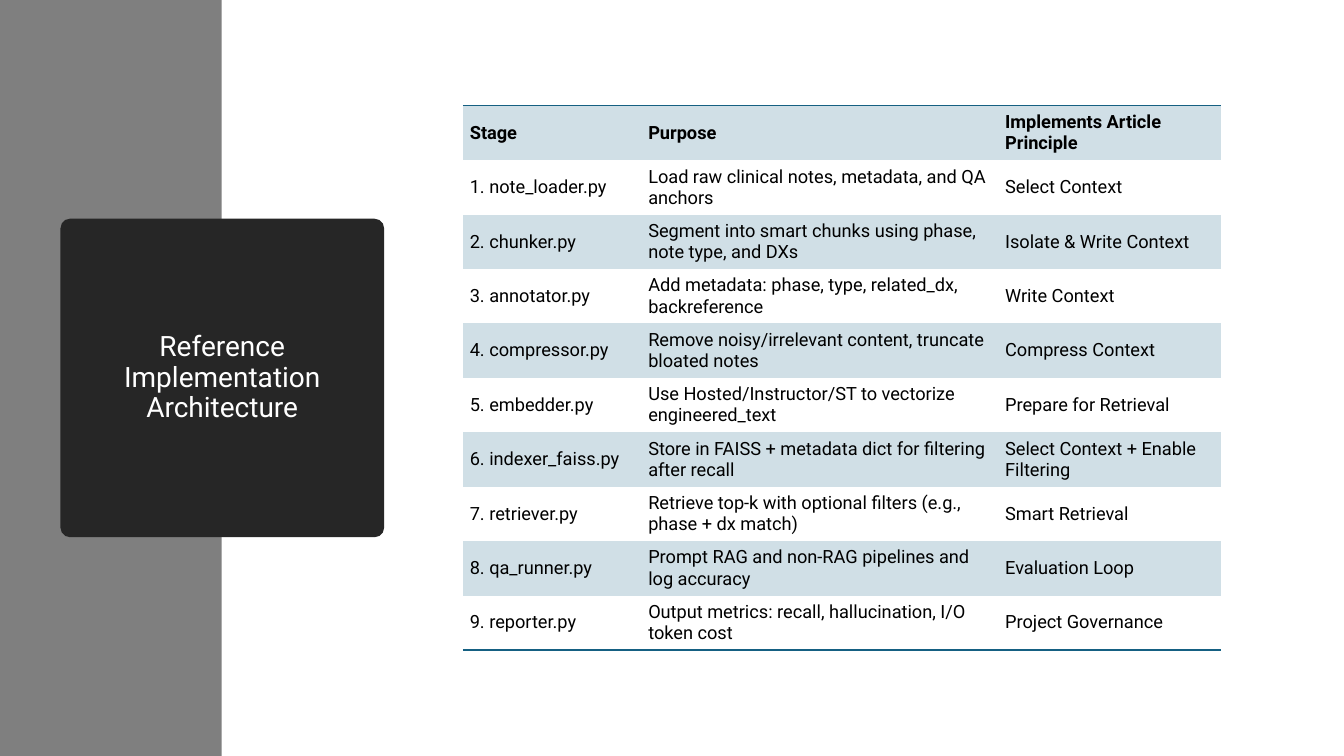
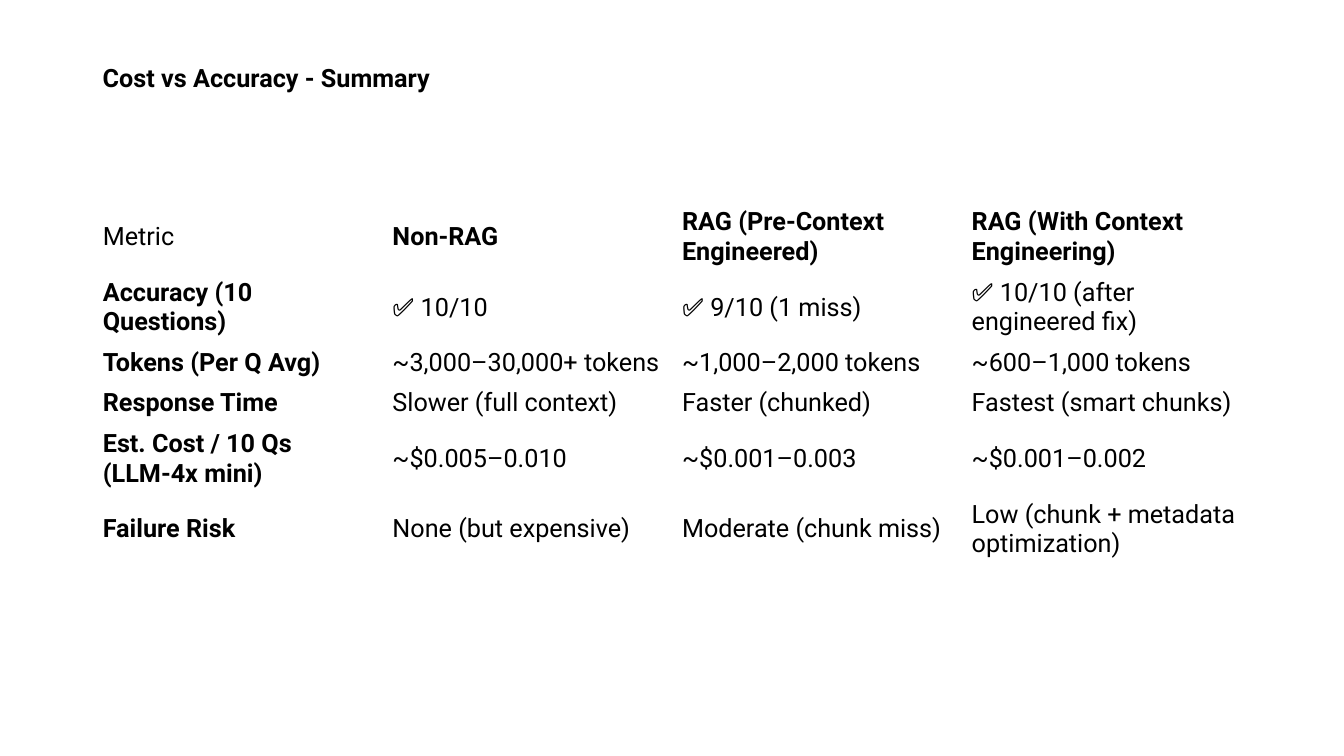
from lxml import etree
from pptx import Presentation
from pptx.dml.color import RGBColor
from pptx.enum.shapes import MSO_SHAPE
from pptx.enum.text import MSO_ANCHOR, PP_ALIGN
from pptx.oxml.ns import qn
from pptx.util import Inches, Pt

RECTANGLE = MSO_SHAPE.RECTANGLE
ROUNDED = MSO_SHAPE.ROUNDED_RECTANGLE
MIDDLE = MSO_ANCHOR.MIDDLE
LEFT, CENTER = PP_ALIGN.LEFT, PP_ALIGN.CENTER

# Shared look
WIDTH, HEIGHT = 13.33, 7.5
FONT = "Roboto"
COLORS = {
    "text": "000000",
    "light": "FFFFFF",
    "side_band": "7F7F7F",
    "title_card": "262626",
    "rule": "156082",
    "stripe": "D0DFE6",
}
NO_GRID_STYLE = "{2D5ABB26-0587-4C30-8999-92F81FD0307C}"
MARGIN = 0.92

STAGES = [
    ("Stage", "Purpose", "Implements Article Principle"),
    ("1. note_loader.py", "Load raw clinical notes, metadata, and QA anchors",
     "Select Context"),
    ("2. chunker.py", "Segment into smart chunks using phase, note type, and DXs",
     "Isolate & Write Context"),
    ("3. annotator.py", "Add metadata: phase, type, related_dx, backreference",
     "Write Context"),
    ("4. compressor.py", "Remove noisy/irrelevant content, truncate bloated notes",
     "Compress Context"),
    ("5. embedder.py", "Use Hosted/Instructor/ST to vectorize engineered_text",
     "Prepare for Retrieval"),
    ("6. indexer_faiss.py", "Store in FAISS + metadata dict for filtering after recall",
     "Select Context + Enable Filtering"),
    ("7. retriever.py", "Retrieve top‑k with optional filters (e.g., phase + dx match)",
     "Smart Retrieval"),
    ("8. qa_runner.py", "Prompt RAG and non‑RAG pipelines and log accuracy",
     "Evaluation Loop"),
    ("9. reporter.py", "Output metrics: recall, hallucination, I/O token cost",
     "Project Governance"),
]

METRICS = [
    ("Metric", "Non-RAG", "RAG (Pre-Context Engineered)",
     "RAG (With Context Engineering)"),
    ("Accuracy (10 Questions)", "✅ 10/10", "✅ 9/10 (1 miss)",
     "✅ 10/10 (after engineered fix)"),
    ("Tokens (Per Q Avg)", "~3,000–30,000+ tokens", "~1,000–2,000 tokens",
     "~600–1,000 tokens"),
    ("Response Time", "Slower (full context)", "Faster (chunked)",
     "Fastest (smart chunks)"),
    ("Est. Cost / 10 Qs (LLM-4x mini)", "~$0.005–0.010", "~$0.001–0.003",
     "~$0.001–0.002"),
    ("Failure Risk", "None (but expensive)", "Moderate (chunk miss)",
     "Low (chunk + metadata optimization)"),
]


def rgb(name):
    return RGBColor.from_string(COLORS[name])


def add_slide(presentation):
    return presentation.slides.add_slide(presentation.slide_layouts[6])


def write(text_frame, text, size, color="text", bold=False, align=LEFT, spacing=None):
    text_frame.word_wrap = True
    paragraph = text_frame.paragraphs[0]
    paragraph.text = text
    paragraph.alignment = align
    paragraph.line_spacing = spacing
    paragraph.font.name = FONT
    paragraph.font.size = Pt(size)
    paragraph.font.bold = bold
    paragraph.font.color.rgb = rgb(color)


def add_block(slide, kind, box, color):
    shape = slide.shapes.add_shape(kind, *map(Inches, box))
    shape.shadow.inherit = False
    shape.fill.solid()
    shape.fill.fore_color.rgb = rgb(color)
    shape.line.fill.background()
    return shape


def write_title(shape, text, size, **style):
    shape.text_frame.vertical_anchor = MIDDLE
    write(shape.text_frame, text, size, spacing=0.9, **style)


def add_rule(cell, side):
    """Draw a 1 pt border on the top ("lnT") or bottom ("lnB") of a cell."""
    line = etree.Element(qn("a:" + side), w=str(Pt(1)))
    fill = etree.SubElement(line, qn("a:solidFill"))
    etree.SubElement(fill, qn("a:srgbClr"), val=COLORS["rule"])
    cell._tc.get_or_add_tcPr().insert(0, line)


def add_table(slide, rows, left, top, columns, heights, size, is_bold, insets=(0.1, 0.05)):
    frame = slide.shapes.add_table(
        len(rows), len(columns),
        *map(Inches, (left, top, sum(columns), sum(heights))))
    table = frame.table
    table.first_row = table.horz_banding = False
    table._tbl.tblPr.find(qn("a:tableStyleId")).text = NO_GRID_STYLE
    for column, width in zip(table.columns, columns):
        column.width = Inches(width)
    for row, height in zip(table.rows, heights):
        row.height = Inches(height)
    side_inset, end_inset = map(Inches, insets)
    for r, texts in enumerate(rows):
        for c, text in enumerate(texts):
            cell = table.cell(r, c)
            cell.vertical_anchor = MIDDLE
            cell.margin_left = cell.margin_right = side_inset
            cell.margin_top = cell.margin_bottom = end_inset
            cell.fill.background()
            write(cell.text_frame, text, size, bold=is_bold(r, c))
    return table


def stripe(table):
    """Tint every other row and close the table with rules."""
    last = len(table.rows) - 1
    for r, row in enumerate(table.rows):
        for cell in row.cells:
            if r % 2 == 0:
                cell.fill.solid()
                cell.fill.fore_color.rgb = rgb("stripe")
            if r == 0:
                add_rule(cell, "lnT")
            elif r == last:
                add_rule(cell, "lnB")


def build_architecture(presentation):
    slide = add_slide(presentation)
    # Side band and title card
    add_block(slide, RECTANGLE, (0, 0, 2.2, HEIGHT), "side_band")
    card = add_block(slide, ROUNDED, (0.6, 2.17, 3.21, 3.16), "title_card")
    card.adjustments[0] = 0.03
    card.text_frame.margin_left = card.text_frame.margin_right = Inches(0.5)
    write_title(card, "Reference Implementation Architecture", 20,
                color="light", align=CENTER)
    # Pipeline stages
    table = add_table(slide, STAGES, 4.59, 1.05, (1.77, 3.54, 2.21),
                      [0.54] * len(STAGES), 13, lambda r, c: r == 0, (0.07, 0.04))
    stripe(table)


def build_cost_summary(presentation):
    slide = add_slide(presentation)
    width = WIDTH - 2 * MARGIN
    # Title
    title = slide.shapes.add_textbox(*map(Inches, (MARGIN, 0.54, width, 0.5)))
    write_title(title, "Cost vs Accuracy - Summary", 18, bold=True)
    # Metrics: the first row and column are bold, their shared corner is not
    one_line, two_lines = 0.39, 0.69
    heights = [two_lines, two_lines, one_line, one_line, two_lines, two_lines]
    add_table(slide, METRICS, MARGIN, 2, [width / 4] * 4, heights, 18,
              lambda r, c: (r == 0) != (c == 0))


def main():
    presentation = Presentation()
    presentation.slide_width = Inches(WIDTH)
    presentation.slide_height = Inches(HEIGHT)
    build_architecture(presentation)
    build_cost_summary(presentation)
    presentation.save("out.pptx")


if __name__ == "__main__":
    main()
